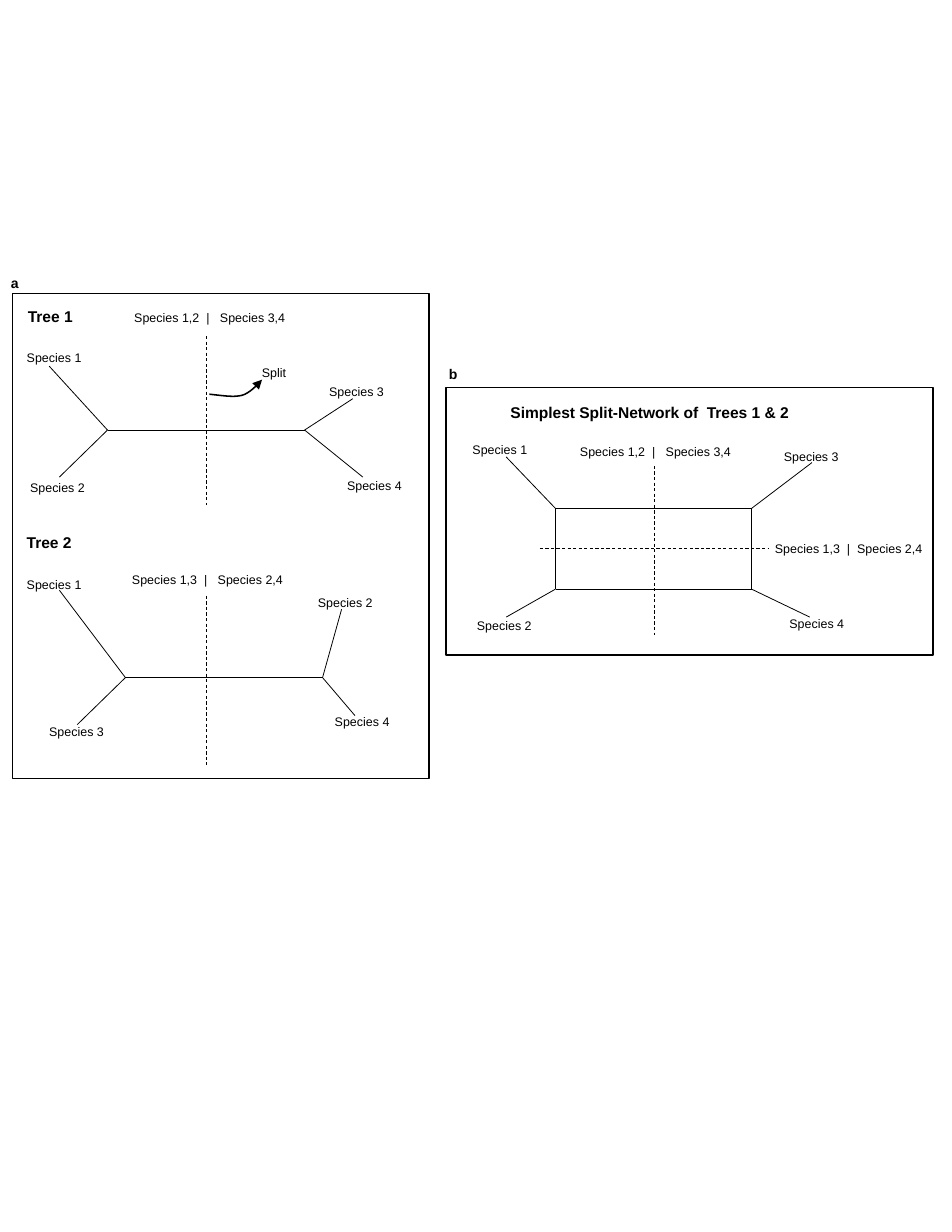
"""Build a slide of two species trees and their split network."""
from lxml.etree import SubElement
from pptx import Presentation
from pptx.dml.color import RGBColor
from pptx.enum.dml import MSO_LINE
from pptx.enum.shapes import MSO_CONNECTOR, MSO_SHAPE
from pptx.enum.text import MSO_AUTO_SIZE
from pptx.oxml.ns import qn
from pptx.util import Inches, Pt

BLACK = "000000"
FONT = "Arial"
SPLIT_12 = "Species 1,2  |   Species 3,4"
SPLIT_13 = "Species 1,3  |   Species 2,4"


def color(value):
    return RGBColor.from_string(value)


def style_line(line, width):
    line.color.rgb = color(BLACK)
    line.width = Pt(width)


def add_line(slide, start, end, dashed=False):
    ends = [Inches(value) for value in (*start, *end)]
    connector = slide.shapes.add_connector(MSO_CONNECTOR.STRAIGHT, *ends)
    style_line(connector.line, 0.5)
    if dashed:
        connector.line.dash_style = MSO_LINE.DASH
    SubElement(connector._element.spPr, qn("a:effectLst"))


def add_label(slide, text, left, top, width=0.69, height=0.24, size=8, bold=False):
    box = slide.shapes.add_textbox(*map(Inches, (left, top, width, height)))
    frame = box.text_frame
    frame.word_wrap = False
    frame.auto_size = MSO_AUTO_SIZE.SHAPE_TO_FIT_TEXT
    paragraph = frame.paragraphs[0]
    paragraph.text = text
    paragraph.font.name = FONT
    paragraph.font.size = Pt(size)
    paragraph.font.bold = bold
    paragraph.font.color.rgb = color(BLACK)


def add_heading(slide, text, left, top, width):
    add_label(slide, text, left, top, width, 0.27, size=10, bold=True)


def add_panel(slide, letter, letter_place, left, top, width, height):
    panel = slide.shapes.add_shape(
        MSO_SHAPE.RECTANGLE, *map(Inches, (left, top, width, height)))
    panel.shadow.inherit = False
    panel.fill.background()
    style_line(panel.line, 1)
    add_label(slide, letter, *letter_place, 0.27, 0.25, size=9, bold=True)


def add_branches(slide, branches):
    """Join each node to its tip and name the species there."""
    for number, node, tip, place in branches:
        add_line(slide, tip, node)
        add_label(slide, f"Species {number}", *place)


def add_tree(slide, left_node, right_node, left_tips, right_tips):
    add_line(slide, left_node, right_node)
    for node, tips in ((left_node, left_tips), (right_node, right_tips)):
        add_branches(slide, [(number, node, tip, place) for number, tip, place in tips])


def bezier_point(points, t):
    weights = ((1 - t) ** 3, 3 * t * (1 - t) ** 2, 3 * t ** 2 * (1 - t), t ** 3)
    return tuple(Inches(sum(weight * point[axis] for weight, point in zip(weights, points)))
                 for axis in (0, 1))


def add_curved_arrow(slide, curves, steps=10):
    points = [bezier_point(curve, step / steps)
              for curve in curves for step in range(1, steps + 1)]
    builder = slide.shapes.build_freeform(*bezier_point(curves[0], 0))
    builder.add_line_segments(points, close=False)
    arrow = builder.convert_to_shape()
    arrow.shadow.inherit = False
    arrow.fill.background()
    style_line(arrow.line, 1)
    SubElement(arrow.line._get_or_add_ln(), qn("a:tailEnd"), type="triangle")


def add_trees_panel(slide):
    add_panel(slide, "a", (0, 2.4), 0.11, 2.62, 3.72, 4.33)
    add_heading(slide, "Tree 1", 0.15, 2.69, 0.62)
    add_tree(slide, (0.96, 3.84), (2.72, 3.84),
             [(1, (0.44, 3.27), (0.14, 3.08)), (2, (0.53, 4.26), (0.17, 4.24))],
             [(3, (3.15, 3.56), (2.84, 3.38)), (4, (3.24, 4.26), (3, 4.22))])
    add_line(slide, (1.84, 3), (1.84, 4.51), dashed=True)
    add_label(slide, SPLIT_12, 1.1, 2.72, 1.69)
    add_curved_arrow(slide, [
        [(1.87, 3.52), (1.98, 3.53), (2.08, 3.55), (2.16, 3.53)],
        [(2.16, 3.53), (2.24, 3.51), (2.34, 3.39), (2.34, 3.39)],
    ])
    add_label(slide, "Split", 2.24, 3.21, 0.42)

    add_heading(slide, "Tree 2", 0.14, 4.71, 0.62)
    add_tree(slide, (1.12, 6.05), (2.88, 6.05),
             [(1, (0.53, 5.27), (0.14, 5.1)), (3, (0.69, 6.47), (0.34, 6.42))],
             [(2, (3.05, 5.44), (2.74, 5.26)), (4, (3.17, 6.39), (2.89, 6.33))])
    add_line(slide, (1.84, 5.32), (1.84, 6.83), dashed=True)
    add_label(slide, SPLIT_13, 1.08, 5.06, 1.62)


def add_network_panel(slide):
    add_panel(slide, "b", (3.91, 3.21), 3.98, 3.46, 4.35, 2.39)
    add_heading(slide, "Simplest Split-Network of  Trees 1 & 2", 4.46, 3.55, 2.74)
    left, right, top, bottom = 4.96, 6.71, 4.54, 5.26
    corners = [(left, top), (right, top), (right, bottom), (left, bottom)]
    for start, end in zip(corners, corners[1:] + corners[:1]):
        add_line(slide, start, end)
    add_branches(slide, [
        (1, (left, top), (4.52, 4.08), (4.12, 3.9)),
        (2, (left, bottom), (4.52, 5.51), (4.16, 5.47)),
        (3, (right, top), (7.25, 4.13), (6.9, 3.96)),
        (4, (right, bottom), (7.23, 5.51), (6.95, 5.45)),
    ])
    add_line(slide, (5.84, 4.16), (5.84, 5.67), dashed=True)
    add_label(slide, SPLIT_12, 5.08, 3.92, 1.62)
    add_line(slide, (4.82, 4.9), (6.87, 4.9), dashed=True)
    add_label(slide, "Species 1,3  |  Species 2,4", 6.82, 4.78, 1.65)


def main():
    presentation = Presentation()
    presentation.slide_width = Inches(8.5)
    presentation.slide_height = Inches(11)
    slide = presentation.slides.add_slide(presentation.slide_layouts[6])
    add_trees_panel(slide)
    add_network_panel(slide)
    presentation.save("out.pptx")


if __name__ == "__main__":
    main()
